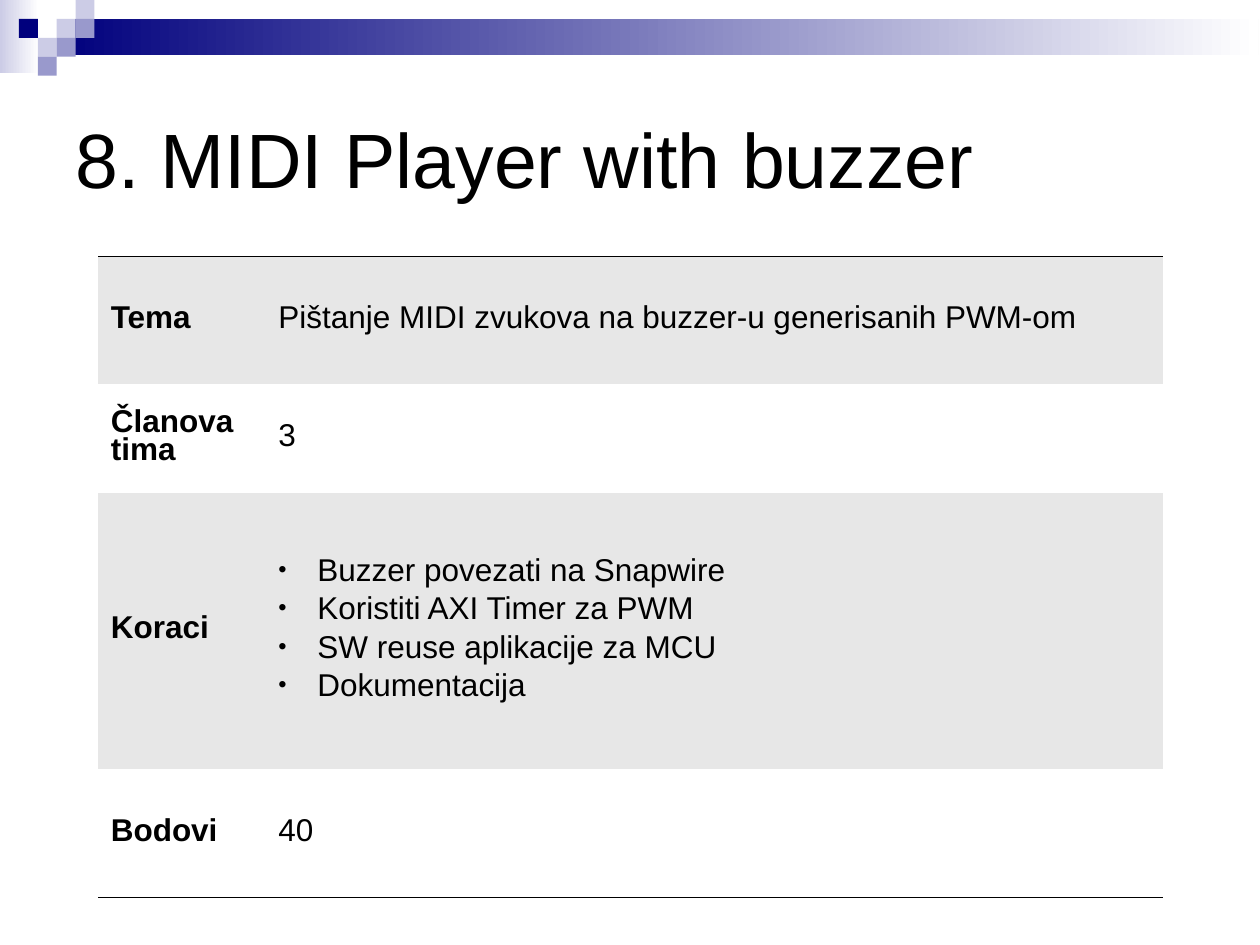
from lxml.etree import SubElement
from pptx import Presentation
from pptx.dml.color import RGBColor
from pptx.enum.shapes import MSO_SHAPE as Preset
from pptx.enum.text import MSO_ANCHOR as Anchor
from pptx.oxml import parse_xml
from pptx.oxml.ns import nsdecls, qn
from pptx.util import Inches, Pt


def color(code):
    return RGBColor.from_string(code)


def add_text(paragraph, words, size, bold=False):
    run = paragraph.add_run()
    run.text = words
    run.font.name = "Arial"
    run.font.size = Pt(size)
    run.font.bold = bold
    run.font.color.rgb = color("000000")


NAVY, LAVENDER, PALE, WHITE, GRAY = "00007D", "9999CC", "CCCCE6", "FFFFFF", "E7E7E7"
UNIT = 0.15

deck = Presentation()
deck.slide_width, deck.slide_height = Inches(10), Inches(7.5)
slide = deck.slides.add_slide(deck.slide_layouts[6])

mosaic = [
    (0, 0, 0.31, 0.58, PALE, WHITE),
    (3 * UNIT, UNIT, 9.54, 0.29, NAVY, WHITE),
]
for column, row, tint in [
    (3, 1, PALE), (4, 0, PALE), (4, 1, LAVENDER), (2, 2, PALE),
    (1, 1, NAVY), (3, 2, LAVENDER), (2, 3, LAVENDER),
]:
    mosaic.append((column * UNIT, row * UNIT, UNIT, UNIT, tint, None))

for left, top, width, height, start, end in mosaic:
    tile = slide.shapes.add_shape(
        Preset.RECTANGLE, Inches(left), Inches(top), Inches(width), Inches(height))
    tile.shadow.inherit = False
    tile.line.fill.background()
    if end:
        tile.fill.gradient()
        tile.fill.gradient_angle = 0
        for stop, tint, position in zip(tile.fill.gradient_stops, (start, end), (0, 1)):
            stop.color.rgb = color(tint)
            stop.position = position
    else:
        tile.fill.solid()
        tile.fill.fore_color.rgb = color(start)

title = slide.shapes.add_textbox(Inches(0.5), Inches(0.5), Inches(9), Inches(1.5)).text_frame
title.word_wrap = True
title.vertical_anchor = Anchor.MIDDLE
add_text(title.paragraphs[0], "8. MIDI Player with buzzer", 44)

project = [
    ("Tema", ["Pištanje MIDI zvukova na buzzer-u generisanih PWM-om"], 1.02),
    ("Članova tima", ["3"], 0.86),
    ("Koraci", ["Buzzer povezati na Snapwire", "Koristiti AXI Timer za PWM",
                "SW reuse aplikacije za MCU", "Dokumentacija"], 2.19),
    ("Bodovi", ["40"], 1.02),
]
details = slide.shapes.add_table(
    len(project), 2, Inches(0.78), Inches(2.03), Inches(8.45), Inches(5.09)).table
details.first_row = details.horz_banding = False
for column, width in zip(details.columns, (1.33, 7.12)):
    column.width = Inches(width)

for index, (label, entries, height) in enumerate(project):
    details.rows[index].height = Inches(height)
    ruled = {0: "lnT", len(project) - 1: "lnB"}.get(index)
    for cell, lines in zip(details.rows[index].cells, ([label], entries)):
        cell.vertical_anchor = Anchor.MIDDLE
        cell.margin_left = cell.margin_right = Inches(0.1)
        cell.margin_top = cell.margin_bottom = Inches(0.05)
        cell.fill.solid()
        cell.fill.fore_color.rgb = color(WHITE if index % 2 else GRAY)
        properties = cell._tc.get_or_add_tcPr()
        for place, side in enumerate(("lnL", "lnR", "lnT", "lnB")):
            paint = '<a:solidFill><a:srgbClr val="000000"/></a:solidFill>' if side == ruled else "<a:noFill/>"
            properties.insert(place, parse_xml(
                f'<a:{side} {nsdecls("a")} w="720">{paint}</a:{side}>'))
        for number, words in enumerate(lines):
            frame = cell.text_frame
            paragraph = frame.add_paragraph() if number else frame.paragraphs[0]
            paragraph.line_spacing = 0.79
            if len(lines) > 1:
                paragraph.space_after = Pt(6)
                layout = paragraph._p.get_or_add_pPr()
                layout.set("marL", str(Inches(0.31)))
                layout.set("indent", str(-Inches(0.31)))
                SubElement(SubElement(layout, qn("a:buClr")), qn("a:srgbClr"), val="000000")
                SubElement(layout, qn("a:buSzPct"), val="75000")
                SubElement(layout, qn("a:buFont"), typeface="Arial")
                SubElement(layout, qn("a:buChar"), char="•")
            add_text(paragraph, words, 18, bold=lines is not entries)

deck.save("out.pptx")
